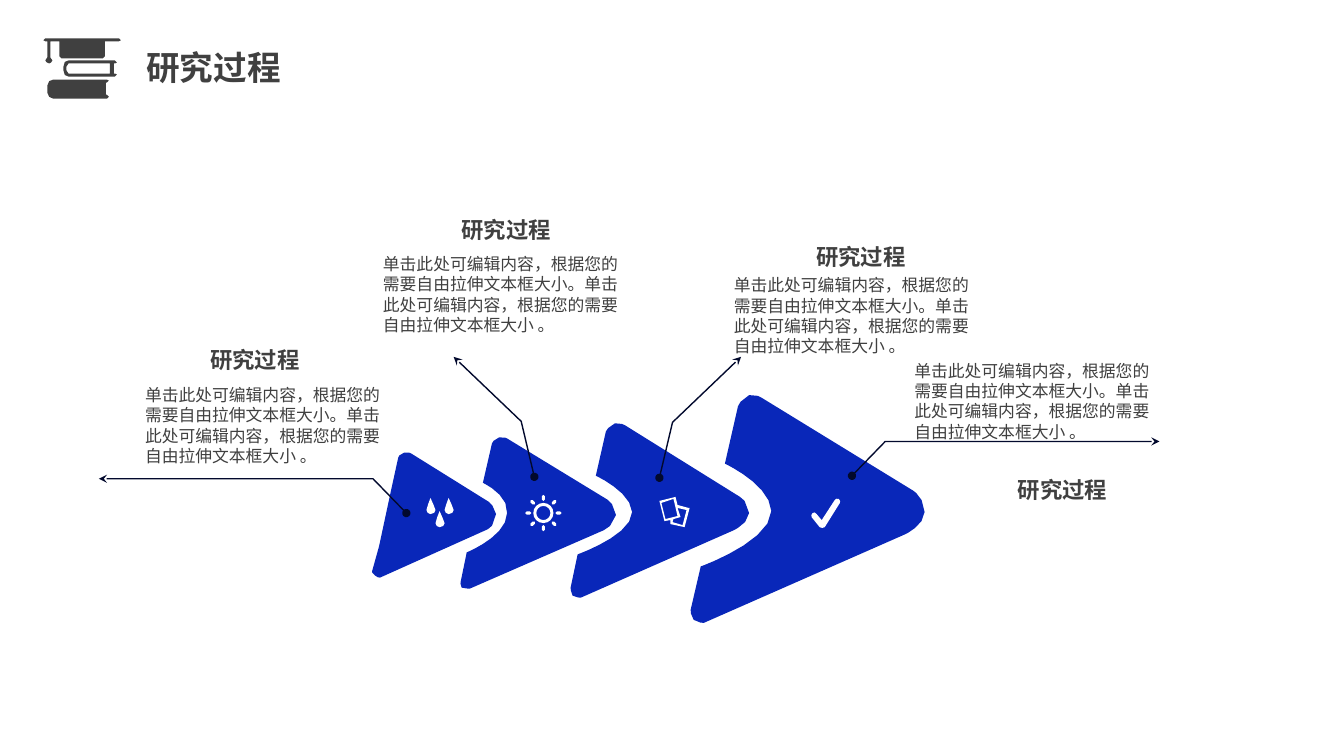
import math
from lxml import etree
from pptx import Presentation
from pptx import util as u
from pptx.dml.color import RGBColor
from pptx.enum import text
from pptx.oxml.ns import qn

PX = 9144  # EMU per px, 100 px to the inch
FONT = "Noto Sans CJK SC"
HUE = {"ink": "404040", "blue": "0927B9", "line": "02092D", "white": "FFFFFF"}

HEAD = "研究过程"
BODY = ("单击此处可编辑内容，根据您的需要自由拉伸文本框大小。"
        "单击此处可编辑内容，根据您的需要自由拉伸文本框大小 。")

# Left and top of each step's heading and body text
STEPS = [((146, 343), (134, 377)), ((395, 214), (370, 247)),
         ((747, 241), (718, 268)), ((947, 472), (897, 353))]

# A loop is a list of corners (x, y) and curves (x1, y1, x2, y2, x, y)
ARROWS = [
    [(917, 508), (917, 521, 898, 530, 898, 530), (698, 618),
     (698, 618, 692, 618, 688, 615), (685, 612, 685, 605, 685, 605), (695, 562),
     (695, 562, 765, 537, 765, 507), (764, 481, 719, 460, 719, 460), (732, 403),
     (732, 403, 735, 395, 743, 392), (749, 390, 756, 395, 756, 395), (906, 487),
     (906, 487, 917, 494, 917, 508)],
    [(743, 509), (743, 519, 728, 526, 728, 526), (576, 593),
     (576, 593, 571, 593, 568, 591), (566, 588, 566, 583, 566, 583), (573, 550),
     (573, 550, 627, 531, 627, 508), (626, 488, 591, 472, 591, 472), (601, 428),
     (601, 428, 604, 422, 610, 420), (615, 419, 620, 422, 620, 422), (734, 493),
     (734, 493, 743, 498, 743, 509)],
    [(611, 511), (611, 520, 599, 526, 599, 526), (466, 584),
     (466, 584, 461, 584, 458, 583), (456, 581, 457, 577, 457, 577), (463, 548),
     (463, 548, 503, 532, 503, 509), (505, 491, 479, 479, 479, 479), (488, 440),
     (488, 440, 490, 435, 495, 434), (500, 433, 503, 435, 503, 435), (603, 496),
     (603, 496, 611, 502, 611, 511)],
    [(388, 486), (395, 454), (395, 454, 396, 450, 401, 449),
     (405, 448, 408, 450, 408, 450), (485, 498), (485, 498, 492, 504, 492, 510),
     (492, 521, 484, 525, 484, 525), (377, 573), (377, 573, 373, 573, 372, 571),
     (369, 569, 369, 567, 369, 567), (376, 542)],
]
LEADS = [[(845, 472), (878, 438), (1150, 438)], [(403, 509), (370, 475), (98, 475)],
         [(654, 474), (667, 419), (735, 354)], [(530, 473), (517, 418), (450, 354)]]

DROP = [(0, 0), (-1, 6, -4, 7, -4, 12), (-4, 14, -2, 16, 0, 16),
        (3, 16, 5, 14, 5, 12), (5, 7, 1, 6, 0, 0)]
TIPS = [(427, 494), (445, 494), (436, 507)]
SUN = (539, 509)
CARDS = [
    [(683, 504), (672, 501), (670, 493), (654, 497), (659, 517), (665, 516),
     (665, 520), (679, 523), (684, 504)],
    [(656, 499), (668, 495), (672, 512), (660, 515)],
    [(677, 521), (667, 518), (668, 515), (675, 513), (672, 504), (681, 506)],
]
TICK = [(813, 523), (805, 513), (804, 512, 805, 510, 806, 509),
        (807, 508, 809, 508, 810, 510), (815, 516), (828, 496),
        (829, 495, 830, 494, 832, 495), (833, 496, 834, 498, 833, 499),
        (818, 523), (817, 524, 814, 524, 813, 523)]
BOOKS = [
    [(108, 96), (106, 98), (53, 98), (50, 98, 47, 95, 47, 92), (47, 85),
     (47, 81, 50, 79, 53, 79), (106, 79), (108, 80), (106, 82), (105, 82),
     (105, 94), (106, 94)],
    [(116, 74), (114, 76), (68, 76), (65, 76, 63, 74, 63, 70), (63, 66),
     (63, 62, 65, 60, 68, 60), (114, 60), (116, 62), (114, 63), (113, 63),
     (113, 73), (114, 73)],
    [(68, 73), (109, 73), (109, 63), (68, 63), (66, 66), (66, 70)],
    [(118, 38), (45, 38), (43, 40), (45, 41), (47, 41), (47, 57), (45, 60),
     (45, 61, 47, 63, 49, 63), (50, 63, 52, 61, 52, 60), (50, 57), (50, 41),
     (59, 41), (59, 56), (61, 58), (102, 58), (104, 56), (104, 41), (118, 41),
     (120, 40)],
]


def oval(mid, rx, ry, turn=0.0, count=16):
    """Corners of an ellipse turned by an angle in radians."""
    pts = []
    for k in range(count):
        a = k * math.tau / count
        x, y = rx * math.cos(a), ry * math.sin(a)
        pts.append((mid[0] + x * math.cos(turn) - y * math.sin(turn),
                    mid[1] + x * math.sin(turn) + y * math.cos(turn)))
    return pts


def rays():
    for k in range(8):
        a = k * math.pi / 4
        mid = (SUN[0] + 15 * math.cos(a), SUN[1] + 15 * math.sin(a))
        yield oval(mid, 3, 1.8, a, 6)


def flat(loop):
    """Turn corners and cubic curves into EMU points, more for longer curves."""
    pts = []
    for seg in loop:
        if len(seg) == 2:
            pts.append(seg)
            continue
        knots = [pts[-1], seg[:2], seg[2:4], seg[4:]]
        steps = min(7, max(2, round(math.dist(knots[0], knots[3]) / 8)))
        for k in range(1, steps + 1):
            t = k / steps
            mix = ((1 - t) ** 3, 3 * t * (1 - t) ** 2, 3 * t * t * (1 - t), t ** 3)
            pts.append(tuple(sum(m * p[i] for m, p in zip(mix, knots)) for i in (0, 1)))
    return [(round(x * PX), round(y * PX)) for x, y in pts]


def tint(name):
    return RGBColor.from_string(HUE[name])


def draw(page, loops, close=True):
    first, *rest = [flat(loop) for loop in loops]
    pen = page.shapes.build_freeform(*first[0], scale=1.0)
    pen.add_line_segments(first[1:], close=close)
    for pts in rest:
        pen.move_to(*pts[0])
        pen.add_line_segments(pts[1:], close=close)
    shape = pen.convert_to_shape()
    shape.shadow.inherit = False
    return shape


def solid(page, loops, hue):
    shape = draw(page, loops)
    shape.fill.solid()
    shape.fill.fore_color.rgb = tint(hue)
    shape.line.fill.background()


def lead(page, pts):
    shape = draw(page, [pts], close=False)
    shape.fill.background()
    shape.line.color.rgb = tint("line")
    shape.line.width = u.Pt(1)
    ln = shape.line._get_or_add_ln()
    for tag, kind in (("a:headEnd", "oval"), ("a:tailEnd", "stealth")):
        etree.SubElement(ln, qn(tag)).set("type", kind)


def write(shape, box, words, size, bold=False, align=text.PP_ALIGN.LEFT, inset=True):
    shape.left, shape.top, shape.width, shape.height = (n * PX for n in box)
    frame = shape.text_frame
    frame.word_wrap = True
    frame.auto_size = text.MSO_AUTO_SIZE.SHAPE_TO_FIT_TEXT
    frame.vertical_anchor = text.MSO_ANCHOR.TOP
    if not inset:
        frame.margin_left = frame.margin_right = frame.margin_top = frame.margin_bottom = 0
    para = frame.paragraphs[0]
    para.alignment = align
    run = para.add_run()
    run.text = words
    font = run.font
    font.size, font.bold, font.name = u.Pt(size), bold, FONT
    font.color.rgb = tint("ink")
    etree.SubElement(run._r.get_or_add_rPr(), qn("a:ea")).set("typeface", FONT)


def label(page, box, *args, **opts):
    write(page.shapes.add_textbox(0, 0, 0, 0), box, *args, **opts)


def main():
    deck = Presentation()
    deck.slide_width, deck.slide_height = 1333 * PX, 750 * PX
    page = deck.slides.add_slide(deck.slide_layouts[5])
    write(page.shapes.title, (135, 42, 248, 50), HEAD, 24, bold=True)
    for loop in ARROWS:
        solid(page, [loop], "blue")
    for pts in LEADS:
        lead(page, pts)
    drops = [[tuple(n + tip[i % 2] for i, n in enumerate(seg)) for seg in DROP]
             for tip in TIPS]
    sun = [oval(SUN, 10, 10), oval(SUN, 7, 7), *rays()]
    for icon in (drops, sun, CARDS, [TICK]):
        solid(page, icon, "white")
    solid(page, BOOKS, "ink")
    for head, body in STEPS:
        label(page, (*head, 214, 27), HEAD, 16, bold=True,
              align=text.PP_ALIGN.CENTER, inset=False)
        label(page, (*body, 254, 91), BODY, 12)
    deck.save("out.pptx")


if __name__ == "__main__":
    main()
